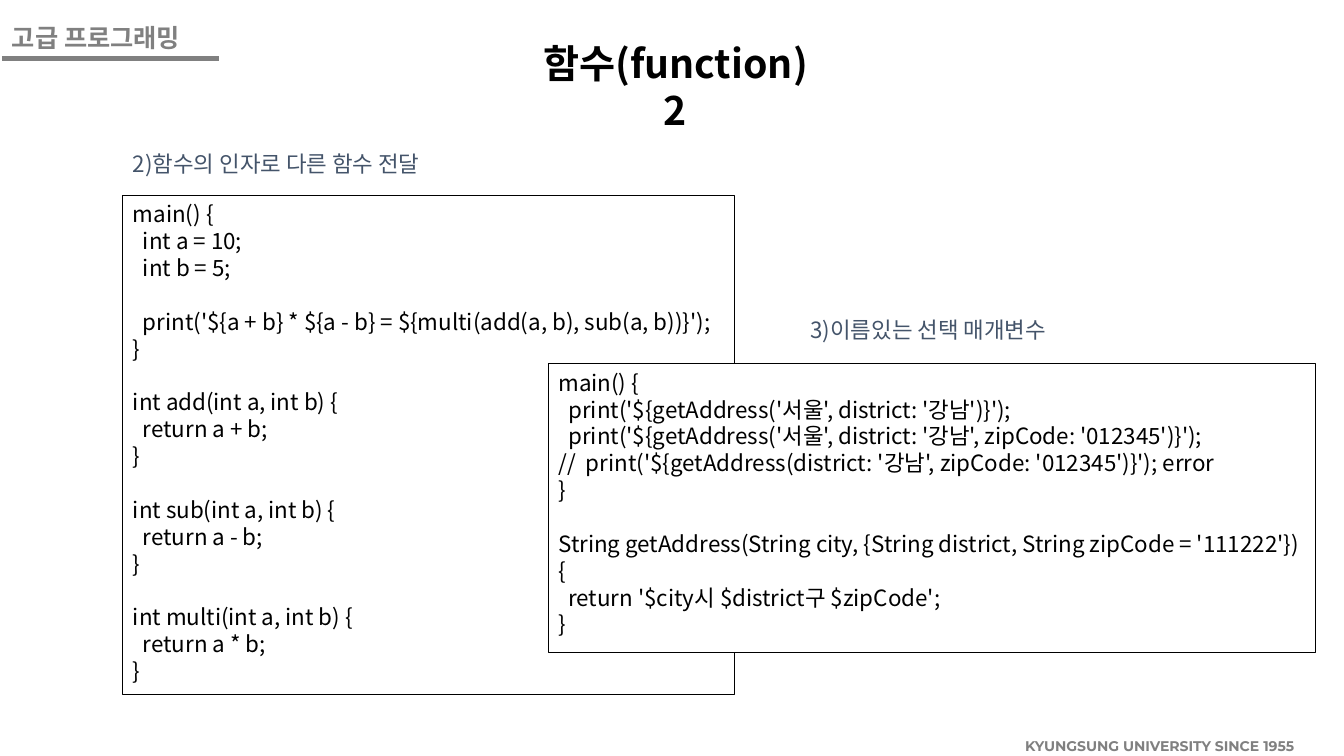
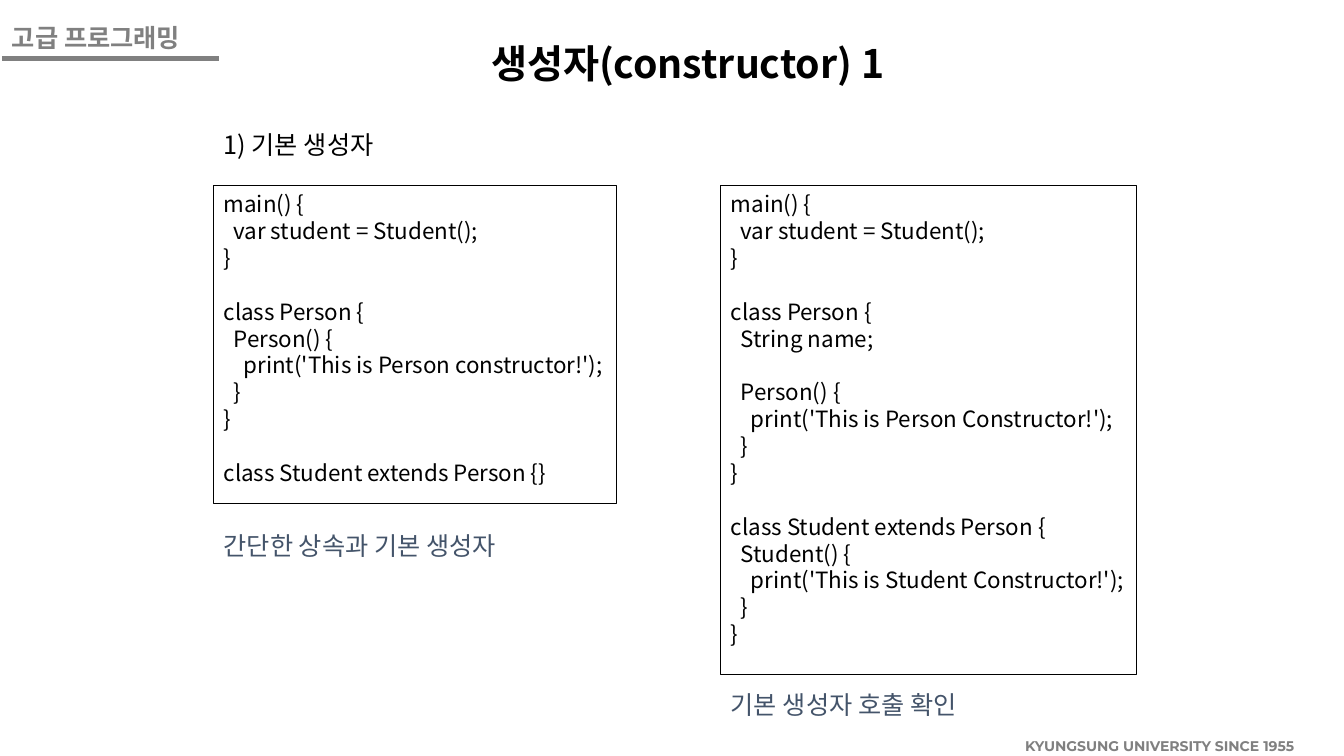
from dataclasses import dataclass
from typing import Optional

from lxml.etree import SubElement
from pptx import Presentation
from pptx.dml.color import RGBColor
from pptx.enum.shapes import MSO_CONNECTOR, MSO_SHAPE
from pptx.enum.text import MSO_ANCHOR, PP_ALIGN
from pptx.oxml.ns import qn
from pptx.util import Emu, Pt

SCALE = 9144
COLORS = {"ink": "000000", "gray": "808080", "slate": "44546A", "white": "FFFFFF"}
SANS = "Noto Sans CJK KR"


@dataclass(frozen=True)
class Style:
    size: int
    color: str
    bold: bool = False
    font: str = SANS
    align: PP_ALIGN = PP_ALIGN.LEFT


@dataclass(frozen=True)
class Label:
    left: int
    top: int
    width: int
    height: int
    text: str
    style: Style


@dataclass(frozen=True)
class Code:
    left: int
    top: int
    width: int
    height: int
    text: str
    fill: Optional[str] = None


@dataclass(frozen=True)
class Page:
    title: Label
    labels: tuple[Label, ...]
    codes: tuple[Code, ...]


TITLE = Style(28, "ink", True, align=PP_ALIGN.CENTER)
HEADER = Style(18, "gray", True)
FOOTER = Style(10, "gray", True, "Montserrat")
TOPIC = Style(16, "slate")
NOTE = Style(18, "slate")
HEAD = Style(18, "ink")
CODE = Style(16, "ink")

BANDS = (
    Label(1007, 727, 319, 28, "KYUNGSUNG UNIVERSITY SINCE 1955", FOOTER),
    Label(2, 17, 206, 40, "고급 프로그래밍", HEADER),
)

PASS_CODE = """main() {
  int a = 10;
  int b = 5;

  print('${a + b} * ${a - b} = ${multi(add(a, b), sub(a, b))}');
}

int add(int a, int b) {
  return a + b;
}

int sub(int a, int b) {
  return a - b;
}

int multi(int a, int b) {
  return a * b;
}"""

NAMED_CODE = """main() {
  print('${getAddress('서울', district: '강남')}');
  print('${getAddress('서울', district: '강남', zipCode: '012345')}');
//  print('${getAddress(district: '강남', zipCode: '012345')}'); error
}

String getAddress(String city, {String district, String zipCode = '111222'}) {
  return '$city시 $district구 $zipCode';
}"""

BASE_CODE = """main() {
  var student = Student();
}

class Person {
  Person() {
    print('This is Person constructor!');
  }
}

class Student extends Person {}"""

CALL_CODE = """main() {
  var student = Student();
}

class Person {
  String name;

  Person() {
    print('This is Person Constructor!');
  }
}

class Student extends Person {
  Student() {
    print('This is Student Constructor!');
  }
}"""

PAGES = (
    Page(
        Label(515, 34, 310, 57, "함수(function) 2", TITLE),
        (
            Label(122, 144, 340, 37, "2)함수의 인자로 다른 함수 전달", TOPIC),
            Label(794, 309, 280, 37, "3)이름있는 선택 매개변수", TOPIC),
        ),
        (
            Code(122, 194, 607, 495, PASS_CODE),
            Code(544, 361, 761, 286, NAMED_CODE, "white"),
        ),
    ),
    Page(
        Label(477, 34, 410, 57, "생성자(constructor) 1", TITLE),
        (
            Label(212, 123, 186, 40, "1) 기본 생성자", HEAD),
            Label(212, 521, 325, 40, "간단한 상속과 기본 생성자", NOTE),
            Label(715, 679, 274, 40, "기본 생성자 호출 확인", NOTE),
        ),
        (
            Code(212, 184, 400, 316, BASE_CODE),
            Code(715, 184, 412, 485, CALL_CODE),
        ),
    ),
)


def px(*sizes: int) -> list[Emu]:
    return [Emu(size * SCALE) for size in sizes]


def rgb(name: str) -> RGBColor:
    return RGBColor.from_string(COLORS[name])


def write(shape, text: str, style: Style) -> None:
    frame = shape.text_frame
    frame.text = text
    frame.word_wrap = True
    frame.vertical_anchor = MSO_ANCHOR.TOP
    for para in frame.paragraphs:
        para.alignment = style.align
        for run in para.runs:
            font = run.font
            font.size = Pt(style.size)
            font.bold = style.bold
            font.color.rgb = rgb(style.color)
            font.name = style.font
            SubElement(run._r.rPr, qn("a:ea"), typeface=style.font)
        if not para.runs:
            end = SubElement(para._p, qn("a:endParaRPr"), sz=str(style.size * 100))
            for tag in ("a:latin", "a:ea"):
                SubElement(end, qn(tag), typeface=style.font)


def add_label(slide, label: Label) -> None:
    box = slide.shapes.add_textbox(*px(label.left, label.top, label.width, label.height))
    write(box, label.text, label.style)


def add_code(slide, code: Code) -> None:
    box = slide.shapes.add_shape(
        MSO_SHAPE.RECTANGLE, *px(code.left, code.top, code.width, code.height)
    )
    box.shadow.inherit = False
    if code.fill:
        box.fill.solid()
        box.fill.fore_color.rgb = rgb(code.fill)
    else:
        box.fill.background()
    box.line.color.rgb = rgb("ink")
    box.line.width = Pt(0.75)
    write(box, code.text, CODE)


def add_bands(slide) -> None:
    for band in BANDS:
        add_label(slide, band)
    rule = slide.shapes.add_connector(MSO_CONNECTOR.STRAIGHT, *px(2, 58, 217, 58))
    rule.line.color.rgb = rgb("gray")
    rule.line.width = Pt(3.75)
    SubElement(rule._element.spPr, qn("a:effectLst"))


def add_page(deck, page: Page) -> None:
    slide = deck.slides.add_slide(deck.slide_layouts[6])
    add_bands(slide)
    for label in (page.title, *page.labels):
        add_label(slide, label)
    for code in page.codes:
        add_code(slide, code)


def main() -> None:
    deck = Presentation()
    deck.slide_width, deck.slide_height = px(1333, 750)
    for page in PAGES:
        add_page(deck, page)
    deck.save("out.pptx")


if __name__ == "__main__":
    main()
